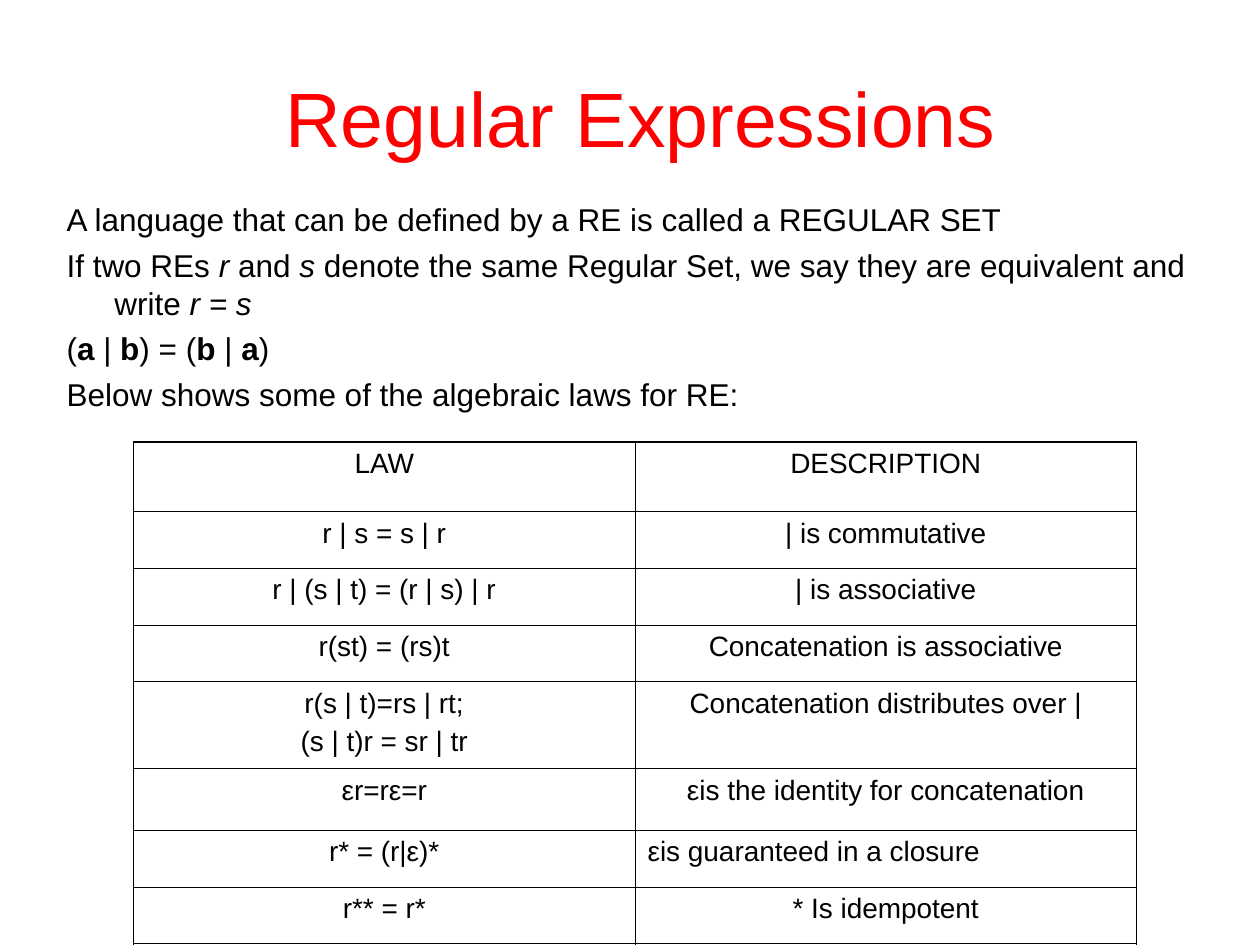
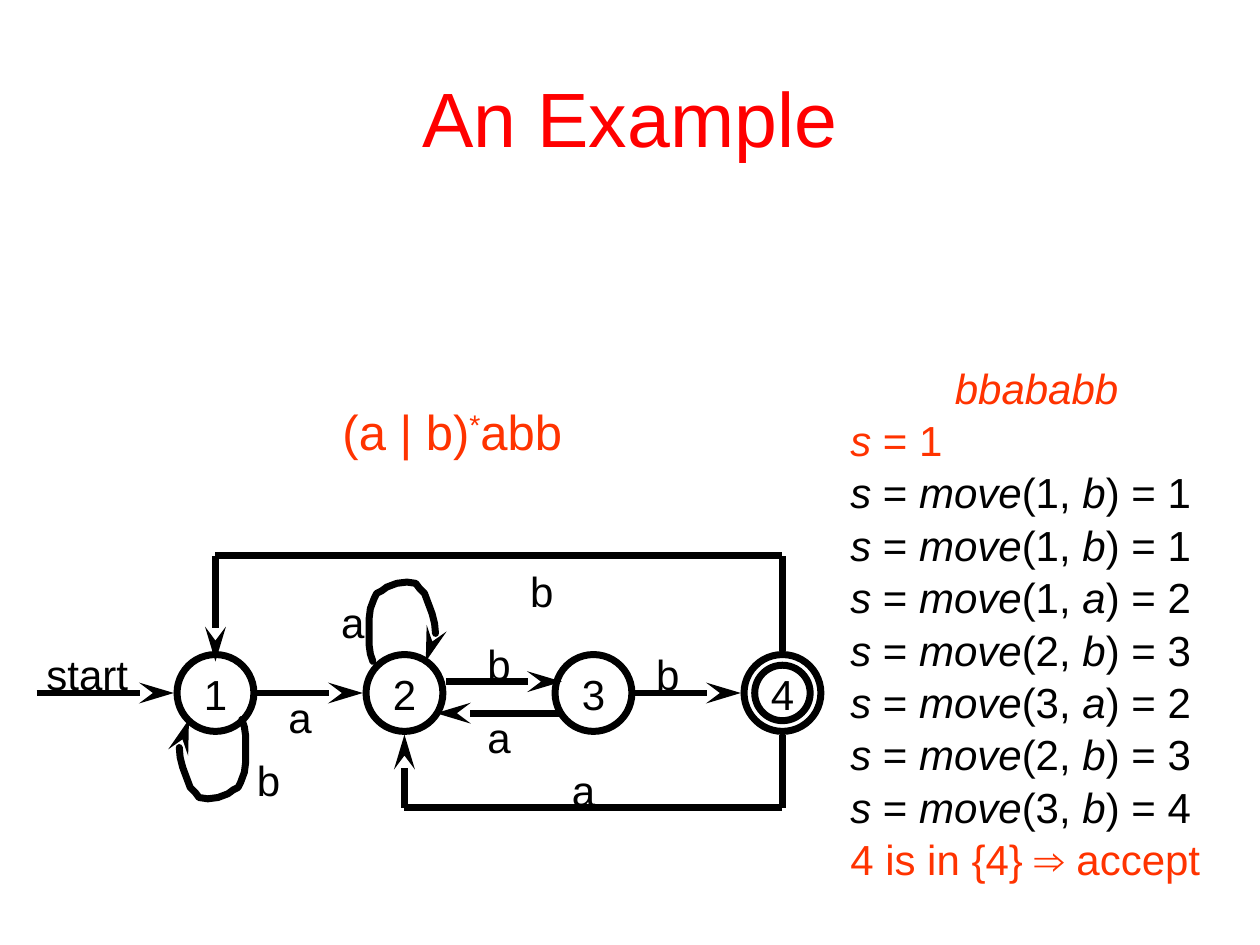
from typing import NamedTuple, Optional, Sequence

from lxml import etree
from pptx import Presentation
from pptx.dml.color import RGBColor
from pptx.enum import shapes, text
from pptx.oxml.ns import qn
from pptx.util import Inches, Pt

FONT = "Arial"
BLACK, TITLE_RED, ACCENT = "000000", "FF0000", "FF3300"
STROKE = 4


class Run(NamedTuple):
    text: str
    italic: Optional[bool] = None
    bold: Optional[bool] = None
    superscript: bool = False


class Para(NamedTuple):
    runs: Sequence[Run]
    color: str = BLACK
    indent: float = 0
    hanging: float = 0


class Label(NamedTuple):
    text: str
    left: float
    top: float
    width: float = 0.39


class Arrow(NamedTuple):
    x1: float
    y1: float
    x2: float
    y2: float
    head: bool = True


class Loop(NamedTuple):
    x: float
    y: float
    turn: int  # 1 is above the state, -1 is the same loop turned half round


def rgb(color: str) -> RGBColor:
    return RGBColor.from_string(color)


def plain(words: str) -> Para:
    return Para([Run(words)])


def it(words: str) -> Run:
    return Run(words, italic=True)


def bold(words: str) -> Run:
    return Run(words, bold=True)


def fill_text(tf, paras: Sequence[Para], size: float, align=None,
              before: float = 0, spacing: Optional[float] = None) -> None:
    for n, para in enumerate(paras):
        p = tf.paragraphs[0] if n == 0 else tf.add_paragraph()
        p.alignment, p.space_before, p.line_spacing = align, Pt(before), spacing
        p.font.name, p.font.size = FONT, Pt(size)
        p.font.color.rgb = rgb(para.color)
        if para.indent:
            pPr = p._p.get_or_add_pPr()
            pPr.set("marL", str(Inches(para.indent)))
            pPr.set("indent", str(-Inches(para.hanging)))
        for run in para.runs:
            r = p.add_run()
            r.text = run.text
            r.font.italic, r.font.bold = run.italic, run.bold
            if run.superscript:
                r._r.get_or_add_rPr().set("baseline", "30000")


def add_text(s, left: float, top: float, width: float, height: float,
             paras: Sequence[Para], size: float, wrap: bool = True,
             anchor=text.MSO_ANCHOR.TOP, **style) -> None:
    tf = s.shapes.add_textbox(Inches(left), Inches(top),
                              Inches(width), Inches(height)).text_frame
    tf.word_wrap, tf.vertical_anchor = wrap, anchor
    fill_text(tf, paras, size, **style)


def add_slide(prs, title: str):
    s = prs.slides.add_slide(prs.slide_layouts[6])
    add_text(s, 0.5, 0.3, 9, 1.25, [Para([Run(title)], TITLE_RED)], 44,
             anchor=text.MSO_ANCHOR.MIDDLE, align=text.PP_ALIGN.CENTER)
    return s


# Strokes of the automaton

def stroke(line, arrow: bool = False, rounded: bool = False) -> None:
    line.color.rgb, line.width = rgb(BLACK), Pt(STROKE)
    ln = line._get_or_add_ln()
    if rounded:
        ln.set("cap", "rnd")
        etree.SubElement(ln, qn("a:round"))
    if arrow:
        etree.SubElement(ln, qn("a:tailEnd"), type="stealth", w="med", len="lg")


def add_arrow(s, a: Arrow) -> None:
    sp = s.shapes.add_connector(shapes.MSO_CONNECTOR.STRAIGHT, Inches(a.x1),
                                Inches(a.y1), Inches(a.x2), Inches(a.y2))
    stroke(sp.line, a.head)
    etree.SubElement(sp._element.spPr, qn("a:effectLst"))


def add_circle(s, cx: float, cy: float, size: float, name: str = "") -> None:
    sp = s.shapes.add_shape(shapes.MSO_SHAPE.OVAL, Inches(cx - size / 2),
                            Inches(cy - size / 2), Inches(size), Inches(size))
    sp.shadow.inherit = False
    sp.fill.background()
    stroke(sp.line)
    if name:
        tf = sp.text_frame
        tf.word_wrap = False
        tf.margin_left = tf.margin_right = tf.margin_top = tf.margin_bottom = 0
        fill_text(tf, [plain(name)], 24, text.PP_ALIGN.CENTER, spacing=1.04)


# Offsets of a self-loop from its starting point
LOOP = [(-0.02, -0.06), (-0.03, -0.13), (-0.03, -0.34), (-0.02, -0.42),
        (0.01, -0.5), (0.03, -0.54), (0.07, -0.56), (0.11, -0.59),
        (0.19, -0.62), (0.27, -0.63), (0.34, -0.62), (0.37, -0.58),
        (0.41, -0.54), (0.44, -0.46), (0.47, -0.38), (0.49, -0.3),
        (0.5, -0.19), (0.5, -0.15), (0.49, -0.11), (0.46, -0.03),
        (0.42, 0.01), (0.42, 0)]


def add_loop(s, loop: Loop) -> None:
    fb = s.shapes.build_freeform(Inches(loop.x), Inches(loop.y))
    fb.add_line_segments([(Inches(loop.x + loop.turn * dx),
                           Inches(loop.y + loop.turn * dy))
                          for dx, dy in LOOP], close=False)
    sp = fb.convert_to_shape()
    sp.shadow.inherit = False
    sp.fill.background()
    stroke(sp.line, arrow=True, rounded=True)


# Table of laws

LAWS = [
    ("LAW", "DESCRIPTION"),
    ("r | s = s | r", "| is commutative"),
    ("r | (s | t) = (r | s) | r", "| is associative"),
    ("r(st) = (rs)t", "Concatenation is associative"),
    ("r(s | t)=rs | rt;\n(s | t)r = sr | tr", "Concatenation distributes over |"),
    ("εr=rε=r", "εis the identity for concatenation"),
    ("r* = (r|ε)*", "εis guaranteed in a closure"),
    ("r** = r*", "* Is idempotent"),
]
LAW_HEIGHTS = [0.55, 0.45, 0.45, 0.45, 0.69, 0.49, 0.45, 0.45]
LEFT_ALIGNED = (6, 1)


def set_borders(cell, outer: dict[str, bool]) -> None:
    tcPr = cell._tc.get_or_add_tcPr()
    for side, is_outer in outer.items():
        ln = etree.SubElement(tcPr, qn(f"a:ln{side}"),
                              w=str(Pt(1.08 if is_outer else 0.45)))
        fill = etree.SubElement(ln, qn("a:solidFill"))
        etree.SubElement(fill, qn("a:srgbClr"), val=BLACK)


def add_laws(s) -> None:
    last = len(LAWS) - 1
    table = s.shapes.add_table(len(LAWS), 2, Inches(1.06), Inches(3.51),
                               Inches(7.96), Inches(sum(LAW_HEIGHTS))).table
    table.first_row = table.horz_banding = False
    for row, height in enumerate(LAW_HEIGHTS):
        table.rows[row].height = Inches(height)
        for col, words in enumerate(LAWS[row]):
            cell = table.cell(row, col)
            set_borders(cell, {"L": col == 0, "R": col == 1,
                               "T": row == 0, "B": row == last})
            cell.fill.background()
            align = (text.PP_ALIGN.LEFT if (row, col) == LEFT_ALIGNED
                     else text.PP_ALIGN.CENTER)
            fill_text(cell.text_frame, [plain(w) for w in words.split("\n")],
                      16, align, before=4)


def regular_expressions(prs) -> None:
    s = add_slide(prs, " Regular Expressions")
    lines = [
        [Run("A language that can be defined by a RE is called a REGULAR SET")],
        [Run("If two REs "), it("r"), Run(" and"), it(" s"),
         Run(" denote the same Regular Set, we say they are equivalent and write "),
         it("r = s")],
        [Run("("), bold("a"), Run(" | "), bold("b"), Run(") = ("),
         bold("b"), Run(" | "), bold("a"), Run(")")],
        [Run("Below shows some of the algebraic laws for RE:")],
    ]
    add_text(s, 0.43, 1.54, 9.21, 1.81,
             [Para(runs, indent=0.38, hanging=0.38) for runs in lines],
             18, before=4.5, spacing=1.0)
    add_laws(s)


# Automaton for (a | b)*abb

STATE_X = [1.71 + 1.5 * n for n in range(4)]
STATE_Y, TOP_Y, BOTTOM_Y = 5.5, 4.41, 6.41
X1, X2, X3, X4 = STATE_X
GAP = 0.33  # from a state's centre to a line's end
ARROWS = [
    Arrow(0.29, STATE_Y, X1 - GAP, STATE_Y),
    Arrow(X1 + GAP, STATE_Y, X2 - GAP, STATE_Y),
    Arrow(X3 + GAP, STATE_Y, X4 - GAP, STATE_Y),
    Arrow(X2 + GAP, 5.41, 4.46, 5.41),
    Arrow(4.46, 5.66, 3.46, 5.66),
    # Back to state 2
    Arrow(X4, STATE_Y + GAP, X4, BOTTOM_Y, False),
    Arrow(X2, BOTTOM_Y, X4, BOTTOM_Y, False),
    Arrow(X2, BOTTOM_Y, X2, STATE_Y + GAP),
    # Back to state 1
    Arrow(X4, STATE_Y - GAP, X4, TOP_Y, False),
    Arrow(X1, TOP_Y, X4, TOP_Y, False),
    Arrow(X1, TOP_Y, X1, 5.25),
]
LOOPS = [Loop(2.96, 5.25, 1), Loop(1.92, 5.71, -1)]
LABELS = [
    Label("start", 0.27, 5.08, 0.85), Label("a", 2.19, 5.42),
    Label("b", 3.77, 5), Label("a", 3.77, 5.58), Label("b", 5.11, 5.08),
    Label("a", 2.61, 4.67), Label("b", 1.94, 5.92),
    Label("b", 4.11, 4.42), Label("a", 4.44, 6),
]
MOVES = {(1, "a"): 2, (1, "b"): 1, (2, "a"): 2, (2, "b"): 3,
         (3, "a"): 2, (3, "b"): 4, (4, "a"): 2, (4, "b"): 1}


def trace(word: str) -> list[Para]:
    state = 1
    paras = [Para([it(word)], ACCENT, indent=0.83),
             Para([it("s"), Run(f" = {state}")], ACCENT)]
    for letter in word:
        target = MOVES[state, letter]
        paras.append(Para([it("s"), Run(" = "), it("move"), Run(f"({state}, "),
                           it(letter), Run(f") = {target}")]))
        state = target
    return paras + [Para([Run(f"{state} is in {{4}} ⇒ accept")], ACCENT)]


def example(prs) -> None:
    s = add_slide(prs, "An Example")
    regex = [Run("(a | b)"), Run("*", superscript=True), Run("abb")]
    add_text(s, 2.62, 3.12, 1.94, 0.57, [Para(regex, ACCENT)], 28,
             wrap=False, spacing=1.04)
    for n, x in enumerate(STATE_X, 1):
        add_circle(s, x, STATE_Y, 0.61, str(n))
    add_circle(s, X4, STATE_Y, 0.44)  # accepting state
    for arrow in ARROWS:
        add_arrow(s, arrow)
    for loop in LOOPS:
        add_loop(s, loop)
    for label in LABELS:
        add_text(s, label.left, label.top, label.width, 0.5,
                 [plain(label.text)], 24, wrap=False, spacing=1.04)
    add_text(s, 6.65, 2.81, 3.13, 4.1, trace("bbababb"), 24, spacing=1.04)


def main() -> None:
    prs = Presentation()
    prs.slide_width, prs.slide_height = Inches(10), Inches(7.5)
    regular_expressions(prs)
    example(prs)
    prs.save("out.pptx")


if __name__ == "__main__":
    main()
